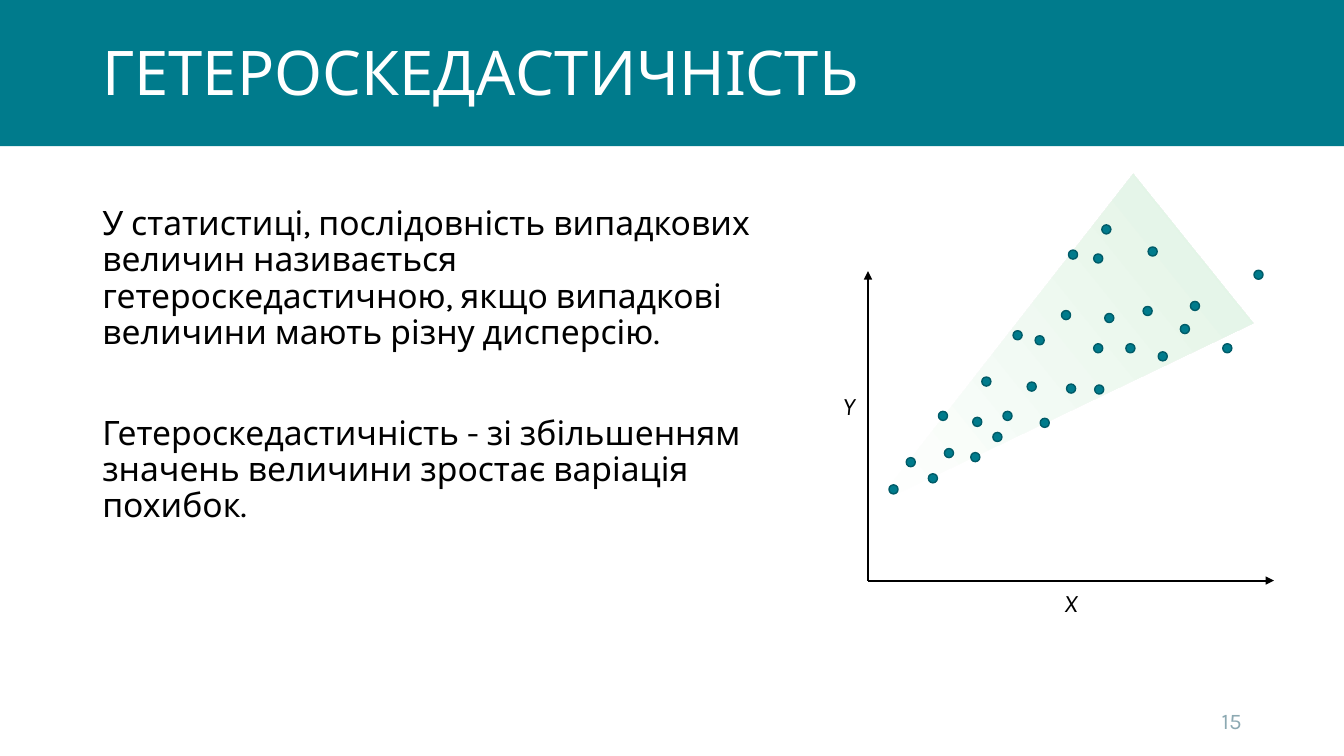
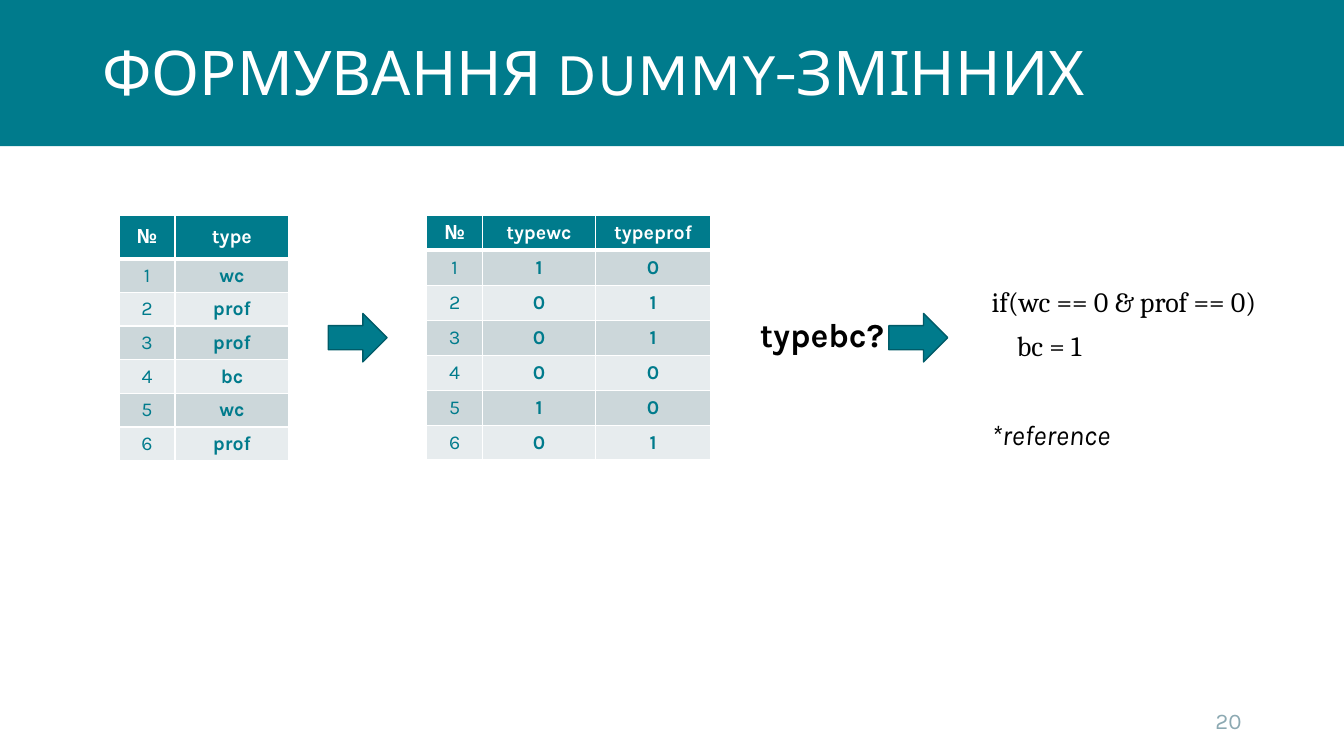
import pptx
import pptx.dml.color
import pptx.enum.dml
import pptx.enum.shapes
import pptx.enum.text
import pptx.oxml
import pptx.oxml.ns
import pptx.util

COLORS = {
    "teal": "007B8C",
    "outline": "005B68",
    "mint": "DFF3E3",
    "band_dark": "CCD7DA",
    "band_light": "E7ECEE",
    "number": "8CA9B2",
    "black": "000000",
    "white": "FFFFFF",
}
ALIGN = pptx.enum.text.PP_ALIGN
ANCHOR = pptx.enum.text.MSO_ANCHOR
SHAPE = pptx.enum.shapes.MSO_SHAPE
WIDTH, HEIGHT = 960, 540
DOT = 6.5

DOTS = [
    (647.3, 326.9), (670.3, 293.8), (693.4, 323.3), (716.4, 293.8), (739.4, 239.8),
    (761.8, 274.3), (781.2, 245.5), (804.2, 245.5), (827.3, 251.3), (850.3, 215.3),
    (873.4, 245.5), (895.7, 193), (674.6, 320.4), (694.8, 298.1), (701.3, 269.3),
    (709.2, 308.9), (781.9, 275), (743, 298.8), (723.6, 236.2), (758.2, 221.8),
    (663.1, 338.4), (820.1, 176.4), (733.7, 272.9), (781.2, 181.4), (763.2, 178.6),
    (816.5, 218.9), (787, 160.6), (635, 346.3), (789.1, 223.9), (843.1, 231.8),
]
TYPE_ROWS = [
    ("№", "type"),
    ("1", "wc"), ("2", "prof"), ("3", "prof"),
    ("4", "bc"), ("5", "wc"), ("6", "prof"),
]
DUMMY_ROWS = [
    ("№", "typewc", "typeprof"),
    ("1", "1", "0"), ("2", "0", "1"), ("3", "0", "1"),
    ("4", "0", "0"), ("5", "1", "0"), ("6", "0", "1"),
]


def points(*values):
    return [pptx.util.Pt(value) for value in values]


def rgb(name):
    return pptx.dml.color.RGBColor.from_string(COLORS[name])


def apply(target, values):
    for name, value in values.items():
        setattr(target, name, value)


def add_xml(parent, tag, **attributes):
    element = pptx.oxml.parse_xml(f"<a:{tag} {pptx.oxml.ns.nsdecls('a')}/>")
    for name, value in attributes.items():
        element.set(name, str(value))
    parent.append(element)
    return element


class Deck:
    def __init__(self):
        self.presentation = pptx.Presentation()
        apply(self.presentation, {"slide_width": pptx.util.Pt(WIDTH),
                                  "slide_height": pptx.util.Pt(HEIGHT)})
        self.slide = None

    def start(self, title, number):
        self.slide = self.presentation.slides.add_slide(self.presentation.slide_layouts[6])
        self.shape(SHAPE.RECTANGLE, (0, 0, WIDTH, 104.4), outline=None)
        self.text((66, 1.5, 828, 104.4), [{"text": title}], size=44, color="white",
                  anchor=ANCHOR.MIDDLE, spacing=0.9)
        self.text((678, 500.5, 216, 28.8), [{"text": number}], size=16, color="number",
                  anchor=ANCHOR.MIDDLE, align=ALIGN.RIGHT)

    def fill_paragraph(self, paragraph, text, color, size, align=None, spacing=None,
                       before=None, indent=0, **font):
        run = paragraph.add_run()
        run.text = text
        apply(run.font, {"name": "Karla", "size": pptx.util.Pt(size), **font})
        run.font.color.rgb = rgb(color)
        apply(paragraph, {"alignment": align, "line_spacing": spacing})
        if before is not None:
            paragraph.space_before = pptx.util.Pt(before)
        if indent:
            paragraph._p.get_or_add_pPr().set("marL", str(pptx.util.Pt(indent)))

    def text(self, box, items, anchor=ANCHOR.TOP, color="black", **style):
        frame = self.slide.shapes.add_textbox(*points(*box)).text_frame
        apply(frame, {"word_wrap": True, "vertical_anchor": anchor})
        for index, item in enumerate(items):
            paragraph = frame.add_paragraph() if index else frame.paragraphs[0]
            self.fill_paragraph(paragraph, **{"color": color, **style, **item})

    def shape(self, kind, box, outline="outline"):
        shape = self.slide.shapes.add_shape(kind, *points(*box))
        shape.shadow.inherit = False
        shape.fill.solid()
        shape.fill.fore_color.rgb = rgb("teal")
        if outline:
            shape.line.color.rgb = rgb(outline)
            shape.line.width = pptx.util.Pt(1)
        else:
            shape.line.fill.background()
        return shape

    def cone(self, box, rotation):
        shape = self.shape(SHAPE.ISOSCELES_TRIANGLE, box, outline=None)
        shape.rotation = rotation
        shape.fill.gradient()
        shape.fill.gradient_angle = 270
        for stop, color, position in zip(shape.fill.gradient_stops, ("white", "mint"), (0.15, 1)):
            stop.color.rgb = rgb(color)
            stop.position = position

    def axis(self, *ends):
        connector = self.slide.shapes.add_connector(
            pptx.enum.shapes.MSO_CONNECTOR.STRAIGHT, *points(*ends))
        connector.line.color.rgb = rgb("black")
        connector.line.width = pptx.util.Pt(1.5)
        properties = connector._element.spPr
        add_xml(properties.find(pptx.oxml.ns.qn("a:ln")), "tailEnd", type="triangle")
        add_xml(properties, "effectLst")

    def borders(self, cell, row):
        properties = cell._tc.get_or_add_tcPr()
        heavy = {0: "lnB", 1: "lnT"}.get(row)
        for side in ("lnL", "lnR", "lnT", "lnB"):
            width = pptx.util.Pt(3 if side == heavy else 1)
            line = add_xml(properties, side, w=width)
            add_xml(add_xml(line, "solidFill"), "srgbClr", val=COLORS["white"])

    def table(self, left, top, widths, heights, rows):
        table = self.slide.shapes.add_table(
            len(rows), len(widths), *points(left, top, sum(widths), sum(heights))).table
        for column, width in zip(table.columns, widths):
            column.width = pptx.util.Pt(width)
        for row, height in zip(table.rows, heights):
            row.height = pptx.util.Pt(height)
        for row, values in enumerate(rows):
            fill = ("band_dark" if row % 2 else "band_light") if row else "teal"
            for column, value in enumerate(values):
                cell = table.cell(row, column)
                self.borders(cell, row)
                cell.fill.solid()
                cell.fill.fore_color.rgb = rgb(fill)
                cell.vertical_anchor = ANCHOR.MIDDLE
                self.fill_paragraph(cell.text_frame.paragraphs[0], value, size=14,
                                    color="teal" if row else "white", align=ALIGN.CENTER,
                                    bold=row == 0 or column > 0)


def heteroscedasticity(deck):
    deck.start("ГЕТЕРОСКЕДАСТИЧНІСТЬ", "15")
    deck.cone((670.3, 123.1, 136.8, 291.6), 231.2)
    deck.axis(620, 414.7, 620, 193.7)
    deck.axis(620, 414.7, 910, 414.7)
    for left, top in DOTS:
        deck.shape(SHAPE.OVAL, (left, top, DOT, DOT))
    label = {"size": 18, "italic": True}
    deck.text((592.6, 275, 25.2, 28.8), [{"text": "Y"}], align=ALIGN.RIGHT, **label)
    deck.text((620, 416.2, 290, 28.8), [{"text": "X"}], align=ALIGN.CENTER, **label)
    deck.text((66, 144, 510, 342.7), [
        {"text": "У статистиці, послідовність випадкових величин називається "
                 "гетероскедастичною, якщо випадкові величини мають різну дисперсію.",
         "before": 10},
        {"text": "Гетероскедастичність - зі збільшенням значень величини зростає "
                 "варіація похибок.", "before": 46},
    ], size=24, spacing=0.9)


def dummy_variables(deck):
    deck.start("ФОРМУВАННЯ DUMMY-ЗМІННИХ", "20")
    deck.table(85, 153.8, [40, 81.4], [31] + [23.6] * 6, TYPE_ROWS)
    deck.table(304.8, 153.8, [40, 80.4, 82.6], [25] * 7, DUMMY_ROWS)
    deck.text((535.7, 223.9, 157, 51.8), [{"text": "typebc?"}],
              size=24, spacing=0.9, before=10, bold=True)
    for left in (234.5, 635):
        deck.shape(SHAPE.RIGHT_ARROW, (left, 223.9, 42, 34.6))
    deck.text((701.3, 202.3, 225.4, 126.7), [
        {"text": "if(wc == 0 & prof == 0)", "name": "Cambria", "before": 10},
        {"text": "bc = 1", "name": "Cambria", "before": 10, "indent": 18},
        {"text": "*reference", "italic": True, "before": 42},
    ], size=20, spacing=0.9)


def main():
    deck = Deck()
    heteroscedasticity(deck)
    dummy_variables(deck)
    deck.presentation.save("out.pptx")


if __name__ == "__main__":
    main()
